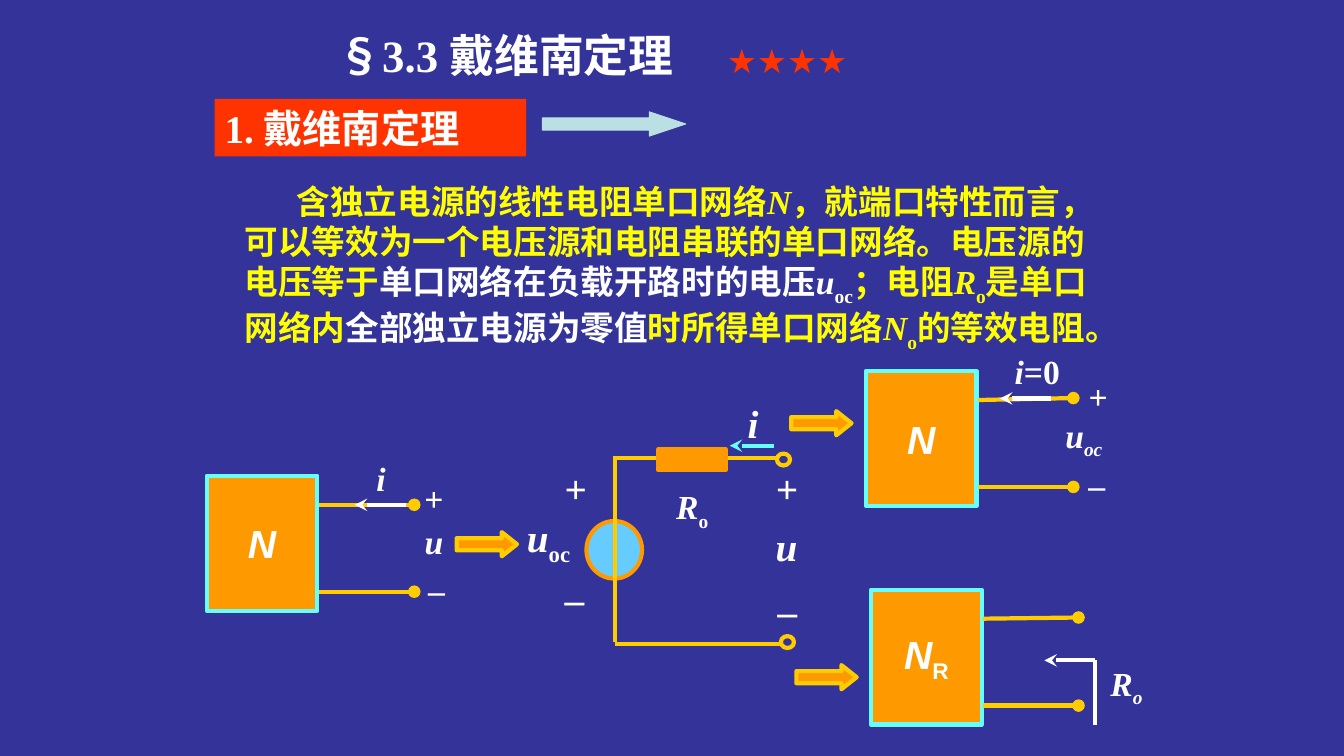
from dataclasses import dataclass

from lxml.etree import SubElement
from pptx import Presentation
from pptx.dml.color import RGBColor
from pptx.enum.shapes import MSO_CONNECTOR, MSO_SHAPE
from pptx.enum.text import MSO_ANCHOR, MSO_AUTO_SIZE, PP_ALIGN
from pptx.oxml.ns import qn
from pptx.util import Cm, Pt


@dataclass(frozen=True)
class Theme:
    background: str = "333399"
    white: str = "FFFFFF"
    yellow: str = "FFFF00"
    red: str = "FF3300"
    orange: str = "FF9900"
    wire: str = "FFCC00"
    cyan: str = "66FFFF"
    sky: str = "66CCFF"
    pale: str = "BBE0E3"
    chinese: str = "Noto Sans CJK SC"
    serif: str = "Times New Roman"
    sans: str = "Arial"
    title: int = 32
    large: int = 28
    medium: int = 24
    stroke: float = 3


THEME = Theme()
ITALIC = {"italic": True}
SUBSCRIPT = {"subscript": True}
ITALIC_SUBSCRIPT = {"italic": True, "subscript": True}
WHITE = {"font": THEME.sans, "color": THEME.white}
YELLOW = {"font": THEME.sans, "color": THEME.yellow}
CHINESE = {"font": THEME.chinese}


def set_attributes(target, values):
    for name, value in values.items():
        setattr(target, name, value)


def write_text(shape, runs, size, align=PP_ALIGN.CENTER, anchor=MSO_ANCHOR.MIDDLE, wrap=True):
    set_attributes(shape.text_frame, {
        "auto_size": MSO_AUTO_SIZE.NONE, "word_wrap": wrap, "vertical_anchor": anchor,
        "margin_left": Cm(0.25), "margin_right": Cm(0.25),
        "margin_top": Cm(0.13), "margin_bottom": Cm(0.13),
    })
    paragraph = shape.text_frame.paragraphs[0]
    paragraph.alignment = align
    for text, style in runs:
        run = paragraph.add_run()
        run.text = text
        run.font.color.rgb = RGBColor.from_string(style.get("color", THEME.white))
        name = style.get("font", THEME.serif)
        set_attributes(run.font, {
            "name": name, "size": Pt(size), "bold": True, "italic": style.get("italic", False),
        })
        properties = run._r.get_or_add_rPr()
        SubElement(properties, qn("a:ea")).set("typeface", name)
        if style.get("subscript"):
            properties.set("baseline", "-25000")
    return paragraph


def add_label(slide, box, runs, size, **options):
    shape = slide.shapes.add_textbox(*map(Cm, box))
    return write_text(shape, runs, size, **options)


def add_figure(slide, kind, box, fill=None, line=None, width=THEME.stroke):
    shape = slide.shapes.add_shape(kind, *map(Cm, box))
    shape.shadow.inherit = False
    if fill:
        shape.fill.solid()
        shape.fill.fore_color.rgb = RGBColor.from_string(fill)
    else:
        shape.fill.background()
    if line:
        shape.line.color.rgb = RGBColor.from_string(line)
        shape.line.width = Pt(width)
    else:
        shape.line.fill.background()
    return shape


def add_line(slide, start, end, color=THEME.wire, tail=None):
    connector = slide.shapes.add_connector(MSO_CONNECTOR.STRAIGHT, *map(Cm, (*start, *end)))
    connector.line.color.rgb = RGBColor.from_string(color)
    connector.line.width = Pt(THEME.stroke)
    if tail:
        SubElement(connector.line._get_or_add_ln(), qn("a:tailEnd")).set("type", tail)
    SubElement(connector._element.spPr, qn("a:effectLst"))


def add_block_arrow(slide, box, head, fill, line, width=THEME.stroke):
    arrow = add_figure(slide, MSO_SHAPE.RIGHT_ARROW, box, fill, line, width)
    arrow.adjustments[0] = 0.5
    arrow.adjustments[1] = head


def add_header(slide, left, top):
    title = slide.shapes.title
    set_attributes(title, {
        "left": Cm(left + 1.88), "top": Cm(top), "width": Cm(10.9), "height": Cm(1.63),
    })
    write_text(title, [("§", CHINESE), ("3.3 ", {}), ("戴维南定理", CHINESE)], THEME.title)
    add_label(slide, (left + 11.07, top + 0.33, 6.71, 1.27),
              [("★★★★", {"font": THEME.sans, "color": THEME.red})], THEME.medium)
    heading = add_figure(slide, MSO_SHAPE.RECTANGLE, (left, top + 1.93, 7.85, 1.45), THEME.red)
    write_text(heading, [("1. ", {}), ("戴维南定理", CHINESE)], THEME.large, align=PP_ALIGN.LEFT)
    add_block_arrow(slide, (left + 8.26, top + 2.26, 3.61, 0.61), 1.5, THEME.pale, THEME.pale, 0.75)


def add_theorem(slide, box):
    yellow_symbol = {"color": THEME.yellow, "italic": True}
    yellow_index = {"color": THEME.yellow, "subscript": True}
    paragraph = add_label(slide, box, [
        ("含独立电源的线性电阻单口网络", YELLOW), ("N", yellow_symbol),
        ("，就端口特性而言，可以等效为一个电压源和电阻串联的单口网络。电压源的电压等于", YELLOW),
        ("单口网络在负载开路时的电压", WHITE), ("u", ITALIC), ("oc", SUBSCRIPT),
        ("；电阻", YELLOW), ("R", yellow_symbol), ("o", yellow_index),
        ("是单口网络内", YELLOW), ("全部独立电源为零值", WHITE),
        ("时所得单口网络", YELLOW), ("N", yellow_symbol), ("o", yellow_index),
        ("的等效电阻。", YELLOW),
    ], THEME.medium, align=PP_ALIGN.LEFT, anchor=MSO_ANCHOR.TOP)
    paragraph._p.get_or_add_pPr().set("indent", str(Cm(1.31)))


def add_network(slide, left, top, name, labels, arrow, rise=0):
    block = add_figure(slide, MSO_SHAPE.RECTANGLE, (left, top, 2.79, 3.4), THEME.orange, THEME.cyan)
    write_text(block, name, THEME.large, wrap=False)
    for height, lift in ((0.73, rise), (2.92, 0)):
        add_line(slide, (left + 2.82, top + height), (left + 5.23, top + height - lift), tail="oval")
    for x, y, width, runs in labels:
        add_label(slide, (left + x, top + y, width, 1.27), runs, THEME.medium)
    start, end, height = arrow
    add_line(slide, (left + start, top + height), (left + end, top + height), THEME.white, "stealth")


def add_equivalent_circuit(slide, left, top):
    def place(x, y, width, height):
        return left + x, top + y, width, height

    def wire(start, end, **options):
        add_line(slide, (left + start[0], top + start[1]), (left + end[0], top + end[1]), **options)

    add_figure(slide, MSO_SHAPE.OVAL, place(1.75, 3.2, 1.4, 1.45), THEME.sky, THEME.orange)
    wire((2.46, 1.57), (2.46, 6.25))
    wire((2.44, 1.61), (6.55, 1.61))
    wire((2.46, 6.3), (6.65, 6.3))
    wire((6.48, 1.3), (5.36, 1.3), color=THEME.cyan, tail="stealth")
    add_figure(slide, MSO_SHAPE.RECTANGLE, place(3.56, 1.4, 1.7, 0.51), THEME.orange, THEME.orange)
    for x, y in ((6.55, 1.5), (6.65, 6.1)):
        add_figure(slide, MSO_SHAPE.OVAL, place(x, y, 0.33, 0.3), line=THEME.wire)
    for x, y, width, runs, size in (
        (5.56, 0, 1.19, [("i", ITALIC)], THEME.large),
        (0.95, 1.65, 1.45, [("+", {})], THEME.large),
        (0.95, 4.09, 1.45, [("_", {})], THEME.large),
        (0, 2.95, 1.75, [("u", ITALIC), ("oc", SUBSCRIPT)], THEME.large),
        (3.76, 2.17, 1.6, [("R", ITALIC), ("o", SUBSCRIPT)], THEME.medium),
        (6.27, 1.65, 1.45, [("+", ITALIC)], THEME.large),
        (6.27, 3.1, 1.45, [("u", ITALIC)], THEME.large),
        (6.38, 4.39, 1.45, [("_", ITALIC)], THEME.large),
    ):
        add_label(slide, place(x, y, width, 1.45), runs, size, align=PP_ALIGN.LEFT)


def add_networks(slide):
    name = ("N", {"font": THEME.sans, "italic": True})
    add_network(slide, 5.21, 11.99, [name], [
        (3.73, -0.58, 1.32, [("i", ITALIC)]), (5.23, -0.08, 0.99, [("+", {})]),
        (5.33, 1.93, 0.81, [("_", {})]), (5.03, 1.02, 1.4, [("u", ITALIC)]),
    ], (5.03, 3.73, 0.73))
    add_network(slide, 21.82, 9.35, [name], [
        (3.38, -0.63, 1.88, [("i", ITALIC), ("=0", {})]), (5.36, 0, 0.99, [("+", {})]),
        (5.36, 1.93, 0.81, [("_", {})]),
        (4.67, 1.04, 1.65, [("u", ITALIC), ("oc", ITALIC_SUBSCRIPT)]),
    ], (4.67, 3.38, 0.69), rise=0.05)
    left, top = 21.95, 14.86
    add_network(slide, left, top, [name, ("R", {"font": THEME.sans, "subscript": True})],
                [(5.64, 1.78, 1.6, [("R", ITALIC), ("o", ITALIC_SUBSCRIPT)])],
                (5.64, 4.37, 1.78), rise=0.03)
    add_line(slide, (left + 5.64, top + 1.78), (left + 5.64, top + 3.4), THEME.white)


def main():
    presentation = Presentation()
    set_attributes(presentation, {"slide_width": Cm(33.87), "slide_height": Cm(19.05)})
    slide = presentation.slides.add_slide(presentation.slide_layouts[5])
    slide.background.fill.solid()
    slide.background.fill.fore_color.rgb = RGBColor.from_string(THEME.background)
    add_header(slide, 5.41, 0.56)
    add_theorem(slide, (5.92, 4.42, 21.82, 5.38))
    add_equivalent_circuit(slide, 13.03, 9.93)
    add_networks(slide)
    for left, top in ((11.51, 13.41), (19.94, 10.36), (20.07, 16.76)):
        add_block_arrow(slide, (left, top, 1.52, 0.61), 0.63, THEME.orange, THEME.wire)
    presentation.save("out.pptx")


if __name__ == "__main__":
    main()
